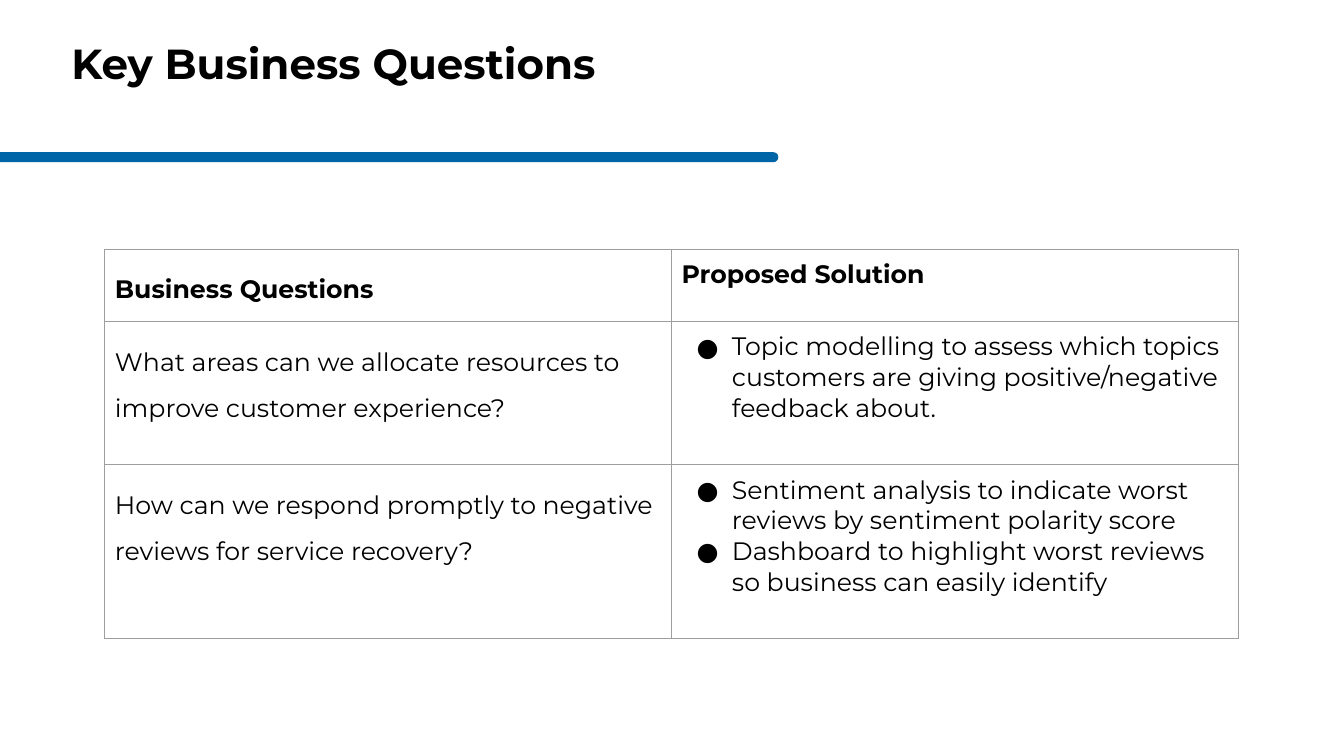
from lxml.etree import SubElement
from pptx import Presentation
from pptx.dml.color import RGBColor
from pptx.enum.shapes import MSO_SHAPE as Shape
from pptx.oxml.ns import qn
from pptx.util import Inches, Pt

BLACK, BLUE, GREY = "000000", "0065A6", "9E9E9E"


def color(hex_code):
    return RGBColor.from_string(hex_code)


def style(para, size, bold, spacing):
    para.line_spacing = spacing
    for span in para.runs:
        span.font.name = "Montserrat"
        span.font.size = Pt(size)
        span.font.bold = bold
        span.font.color.rgb = color(BLACK)


deck = Presentation()
deck.slide_width, deck.slide_height = Inches(13.33), Inches(7.5)
page = deck.slides.add_slide(deck.slide_layouts[6])

bar = page.shapes.add_shape(
    Shape.ROUNDED_RECTANGLE, Inches(-0.15), Inches(1.51), Inches(7.87), Inches(0.1))
bar.adjustments[0] = 0.5
bar.shadow.inherit = False
bar.fill.solid()
bar.fill.fore_color.rgb = color(BLUE)
bar.line.fill.background()

title = page.shapes.add_textbox(Inches(0.61), Inches(0.38), Inches(11.81), Inches(1.08))
title.text_frame.word_wrap = True
title.text_frame.text = "Key Business Questions"
style(title.text_frame.paragraphs[0], 30, True, 0.9)

rows = [
    ("Business Questions", "Proposed Solution"),
    ("What areas can we allocate resources to improve customer experience?",
     "Topic modelling to assess which topics customers are giving positive/negative "
     "feedback about."),
    ("How can we respond promptly to negative reviews for service recovery?",
     "Sentiment analysis to indicate worst reviews by sentiment polarity score\n"
     "Dashboard to highlight worst reviews so business can easily identify"),
]
row_heights = [0.72, 1.42, 1.72]
column_width = 5.62

table = page.shapes.add_table(
    len(rows), 2, Inches(1.04), Inches(2.47),
    Inches(2 * column_width), Inches(sum(row_heights))).table
table.first_row = table.horz_banding = False
for column in table.columns:
    column.width = Inches(column_width)

for row_index, texts in enumerate(rows):
    table.rows[row_index].height = Inches(row_heights[row_index])
    is_header = row_index == 0
    for column_index, text in enumerate(texts):
        cell = table.cell(row_index, column_index)
        cell.margin_left = cell.margin_right = Inches(0.1)
        cell.margin_top = cell.margin_bottom = Inches(0.1)
        properties = cell._tc.get_or_add_tcPr()
        for side in ("lnL", "lnR", "lnT", "lnB"):
            border = SubElement(properties, qn(f"a:{side}"), w=str(Pt(0.75)))
            border_fill = SubElement(border, qn("a:solidFill"))
            SubElement(border_fill, qn("a:srgbClr"), val=GREY)
        cell.fill.background()

        cell.text_frame.text = text
        is_solution = column_index == 1
        for para in cell.text_frame.paragraphs:
            if is_solution and not is_header:
                layout = para._p.get_or_add_pPr()
                layout.set("marL", str(Inches(0.5)))
                layout.set("indent", str(Inches(-0.35)))
                bullet_color = SubElement(layout, qn("a:buClr"))
                SubElement(bullet_color, qn("a:srgbClr"), val=BLACK)
                SubElement(layout, qn("a:buFont"), typeface="Montserrat")
                SubElement(layout, qn("a:buChar"), char="●")
            style(para, 18, is_header, 1.0 if is_solution else 1.5)

deck.save("out.pptx")
